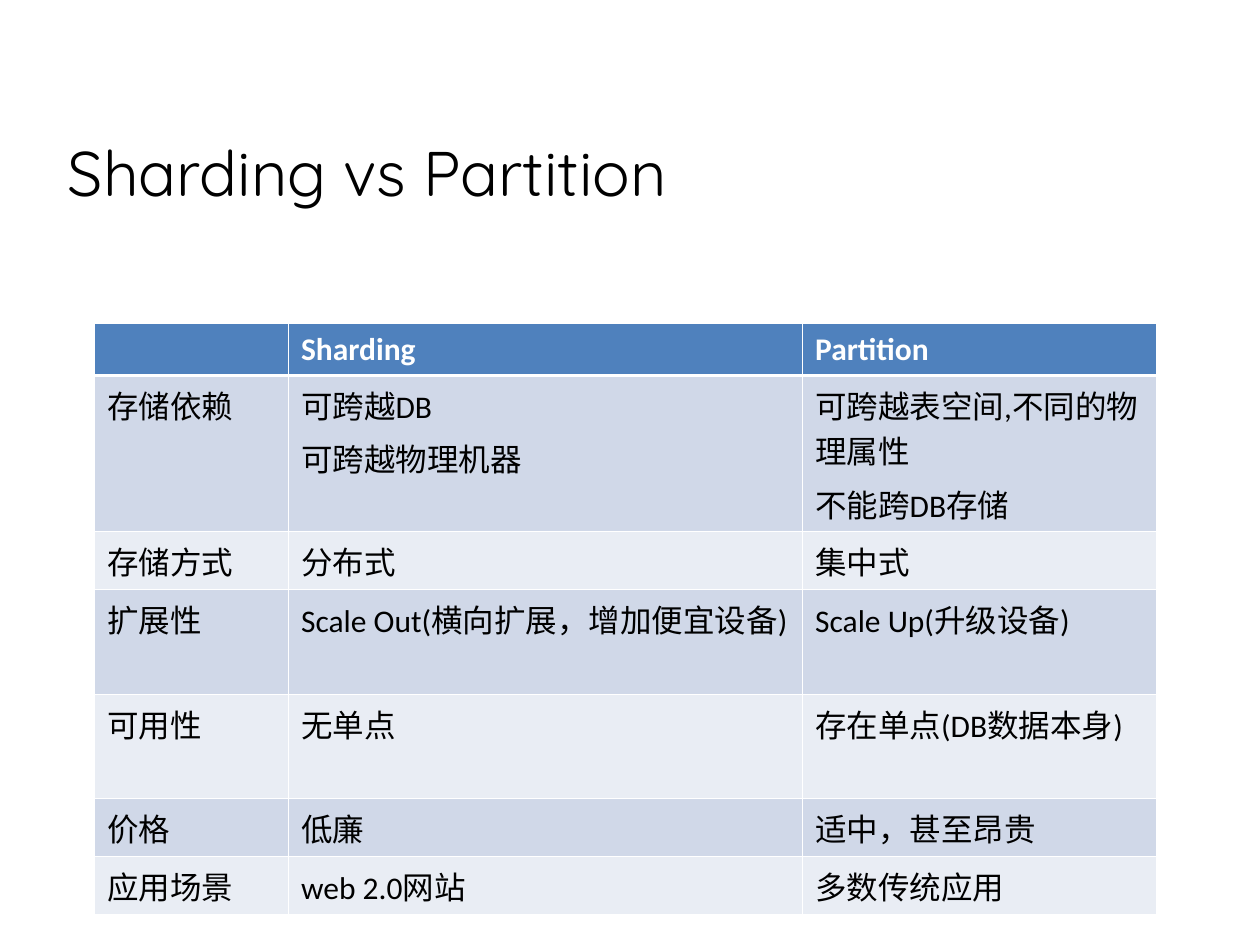
"""Build a slide comparing database sharding with partitioning in a table."""
from dataclasses import dataclass

from lxml import etree
from pptx import Presentation
from pptx.dml.color import RGBColor
from pptx.enum.text import MSO_ANCHOR
from pptx.oxml.ns import qn
from pptx.slide import Slide
from pptx.table import _Cell
from pptx.text.text import _Paragraph
from pptx.util import Inches, Pt

MIDDLE = MSO_ANCHOR.MIDDLE
COLORS = {
    "black": "000000",
    "white": "FFFFFF",
    "header": "4F81BD",
    "odd": "D0D8E8",
    "even": "E9EDF4",
}
TITLE_FONT = {"name": "Quicksand", "size": Pt(36), "bold": False}
HEADER_FONT = {"name": "Calibri", "size": Pt(18), "bold": True}
BODY_FONT = HEADER_FONT | {"bold": False}
THIN_LINE = Pt(0.45)
HEADER_LINE = Pt(1.47)
COLUMN_WIDTHS = (1.54, 4.08, 2.81)


@dataclass(frozen=True)
class ComparisonRow:
    """One table row with its height in inches."""

    topic: str
    sharding: str
    partition: str
    height: float = 0.46


ROWS = (
    ComparisonRow("", "Sharding", "Partition", 0.41),
    ComparisonRow(
        "存储依赖",
        "可跨越DB\n可跨越物理机器",
        "可跨越表空间,不同的物理属性\n不能跨DB存储",
        1.24,
    ),
    ComparisonRow("存储方式", "分布式", "集中式"),
    ComparisonRow("扩展性", "Scale Out(横向扩展，增加便宜设备)", "Scale Up(升级设备)", 0.83),
    ComparisonRow("可用性", "无单点", "存在单点(DB数据本身)", 0.83),
    ComparisonRow("价格", "低廉", "适中，甚至昂贵"),
    ComparisonRow("应用场景", "web 2.0网站", "多数传统应用"),
)


def format_paragraph(para: _Paragraph, font: dict, color: str) -> None:
    """Apply font values and a colour to a paragraph."""
    for target in (para, *para.runs):
        for name, value in font.items():
            setattr(target.font, name, value)
        target.font.color.rgb = RGBColor.from_string(COLORS[color])


def add_borders(cell: _Cell, top: int, bottom: int) -> None:
    """Draw white lines on all four sides of a cell."""
    properties = cell._tc.get_or_add_tcPr()
    sides = {"lnL": THIN_LINE, "lnR": THIN_LINE, "lnT": top, "lnB": bottom}
    for side, width in sides.items():
        line = etree.SubElement(properties, qn(f"a:{side}"), w=str(int(width)))
        fill = etree.SubElement(line, qn("a:solidFill"))
        etree.SubElement(fill, qn("a:srgbClr"), val=COLORS["white"])


def fill_cell(cell: _Cell, text: str, row_index: int) -> None:
    """Write and style one table cell."""
    is_header = row_index == 0
    cell.text = text
    for para in cell.text_frame.paragraphs:
        para.space_before = Pt(4.5)
        if is_header:
            format_paragraph(para, HEADER_FONT, "white")
        else:
            format_paragraph(para, BODY_FONT, "black")
    add_borders(
        cell,
        top=HEADER_LINE if row_index == 1 else THIN_LINE,
        bottom=HEADER_LINE if is_header else THIN_LINE,
    )
    band = "header" if is_header else ("even", "odd")[row_index % 2]
    cell.fill.solid()
    cell.fill.fore_color.rgb = RGBColor.from_string(COLORS[band])


def add_title(page: Slide, text: str) -> None:
    """Add the slide heading."""
    box = page.shapes.add_textbox(Inches(0.44), Inches(0.85), Inches(8.98), Inches(1.02))
    frame = box.text_frame
    for name, value in {"text": text, "word_wrap": True, "vertical_anchor": MIDDLE}.items():
        setattr(frame, name, value)
    format_paragraph(frame.paragraphs[0], TITLE_FONT, "black")


def add_comparison(page: Slide) -> None:
    """Add the comparison table."""
    table = page.shapes.add_table(
        len(ROWS),
        len(COLUMN_WIDTHS),
        Inches(0.75),
        Inches(2.57),
        Inches(sum(COLUMN_WIDTHS)),
        Inches(sum(row.height for row in ROWS)),
    ).table
    for column, width in zip(table.columns, COLUMN_WIDTHS):
        column.width = Inches(width)
    for row_index, row in enumerate(ROWS):
        table.rows[row_index].height = Inches(row.height)
        for column_index, text in enumerate((row.topic, row.sharding, row.partition)):
            fill_cell(table.cell(row_index, column_index), text, row_index)


def main() -> None:
    """Build and save the deck."""
    deck = Presentation()
    deck.slide_width, deck.slide_height = Inches(10), Inches(7.5)
    page = deck.slides.add_slide(deck.slide_layouts[6])
    add_title(page, "Sharding vs Partition")
    add_comparison(page)
    deck.save("out.pptx")


if __name__ == "__main__":
    main()
